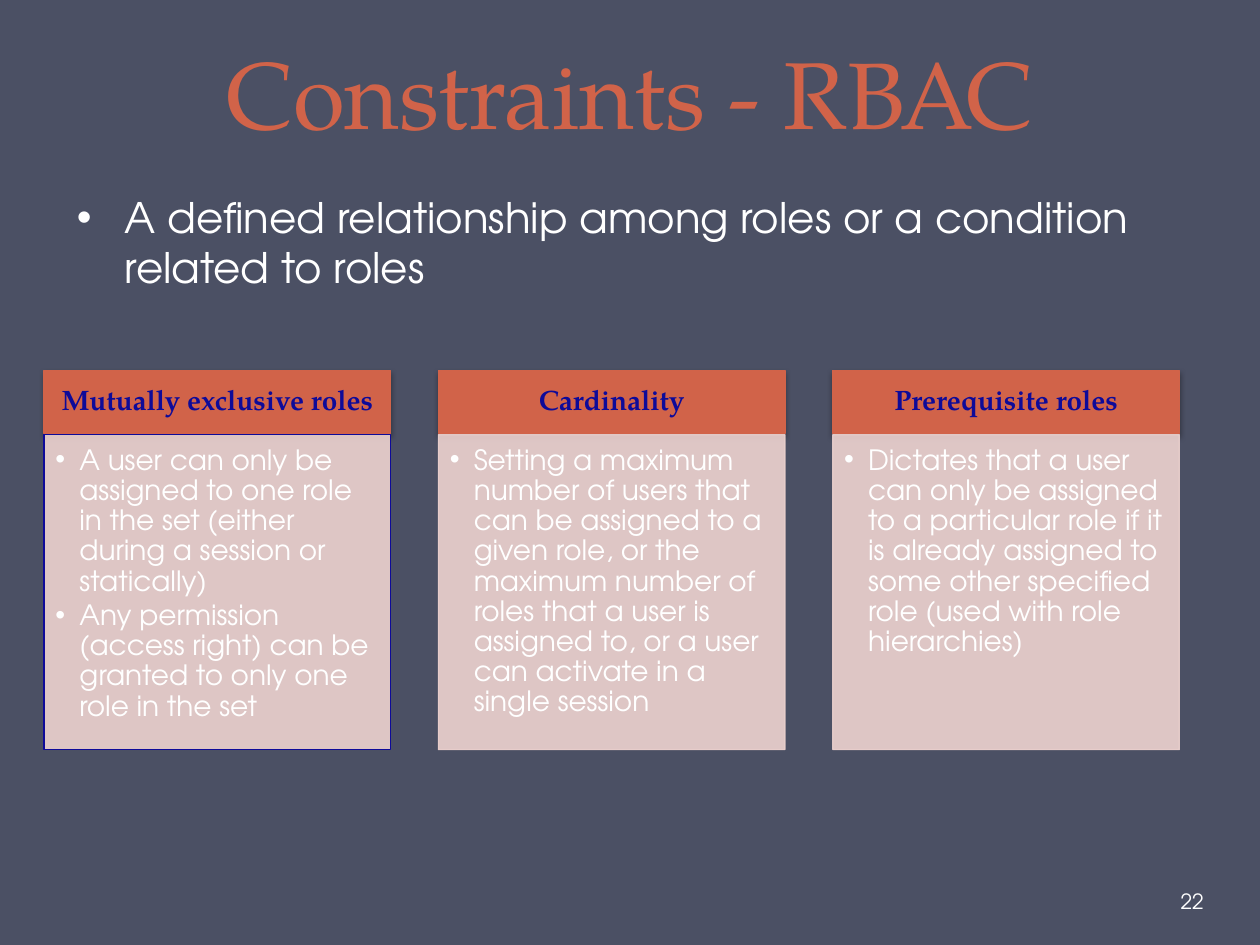
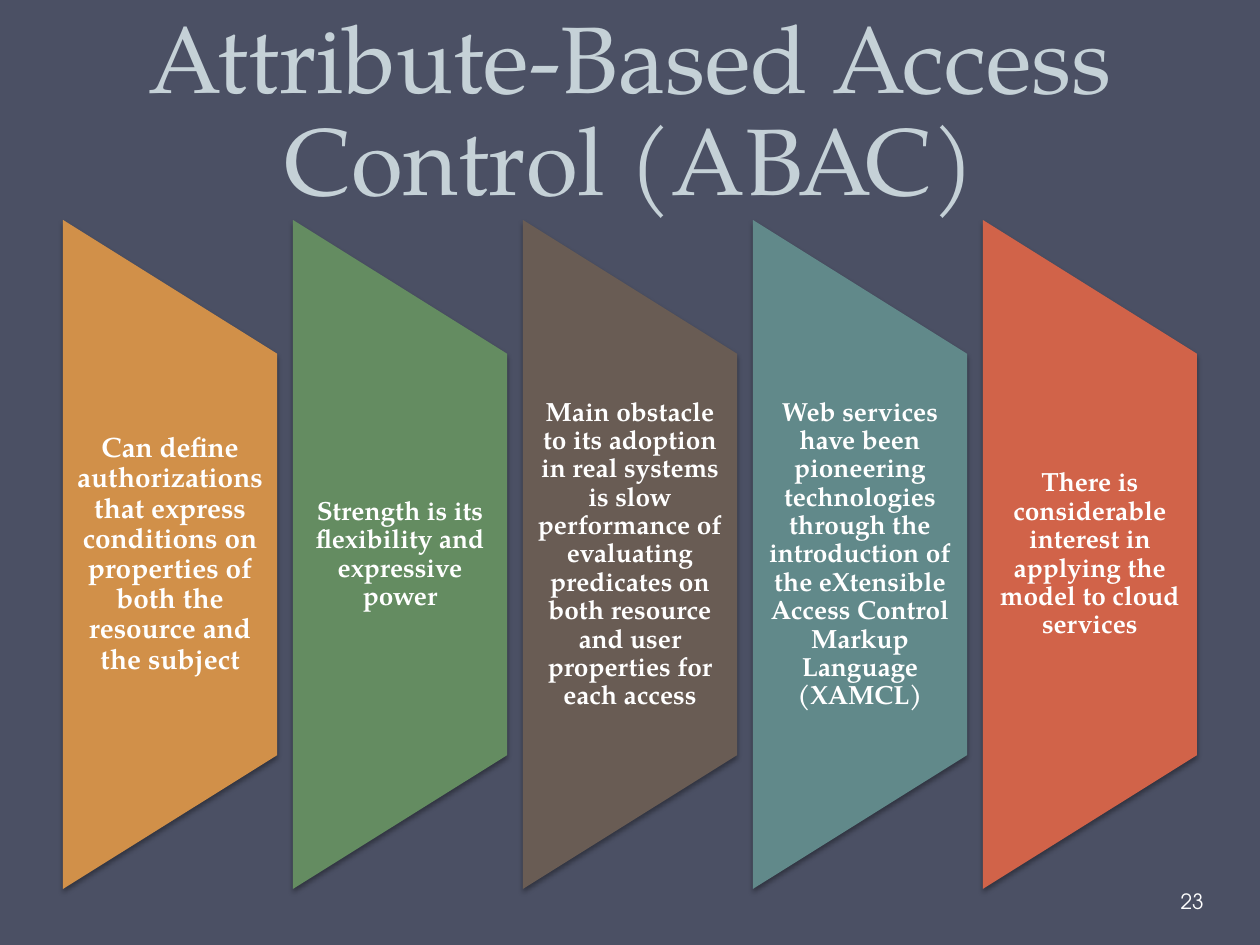
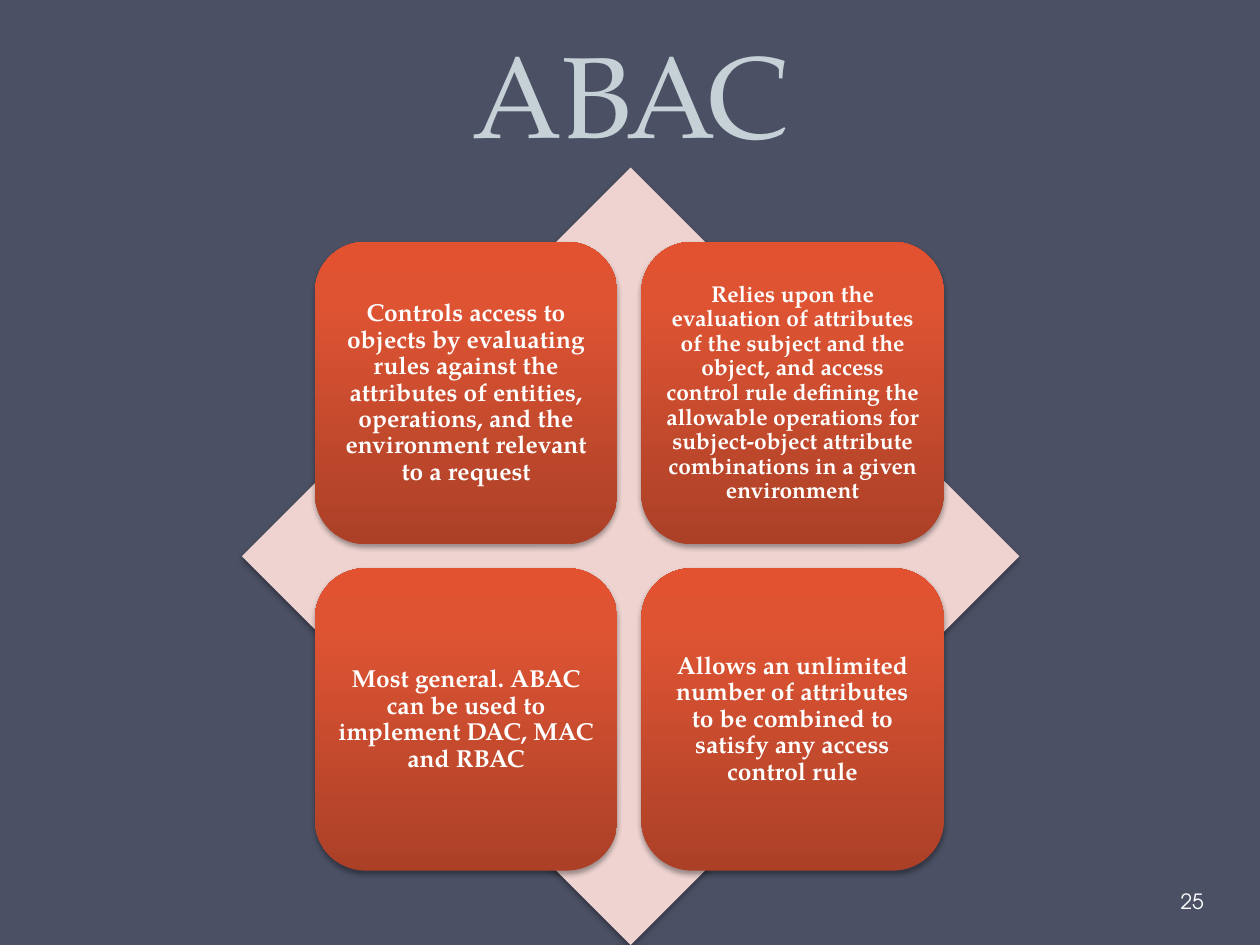
from dataclasses import dataclass
from typing import Optional

from lxml.etree import SubElement
from pptx import Presentation
from pptx.dml.color import RGBColor
from pptx.enum.shapes import MSO_SHAPE
from pptx.enum.text import MSO_ANCHOR, MSO_AUTO_SIZE, PP_ALIGN
from pptx.oxml.ns import qn
from pptx.util import Inches, Pt

SERIF = "TeX Gyre Pagella"
SANS = "TeX Gyre Adventor"
SLATE, WHITE, SILVER = "4B5064", "FFFFFF", "C5D1D7"
RUST, ROSE, NAVY = "D16349", "EED3D0", "0E0A99"
OCHRE, GREEN, BROWN, TEAL = "D19049", "648C61", "695C54", "61898A"
TILE_GRADIENT = ((0, "AB4027"), (80, "DE5433"), (100, "E35230"))


@dataclass(frozen=True)
class Box:
    left: float
    top: float
    width: float
    height: float

    def lengths(self) -> tuple:
        return tuple(Inches(n) for n in (self.left, self.top, self.width, self.height))


@dataclass(frozen=True)
class TextStyle:
    font: str
    size: float
    color: str
    bold: bool = False
    align: PP_ALIGN = PP_ALIGN.CENTER
    anchor: MSO_ANCHOR = MSO_ANCHOR.MIDDLE
    line_spacing: Optional[float] = 0.9
    space_after: float = 0
    bullet_indent: float = 0
    level: int = 0
    margins: tuple = (0.1, 0.05, 0.1, 0.05)  # left, top, right, bottom


@dataclass(frozen=True)
class ConstraintCard:
    heading: str
    points: tuple
    outline: str = ROSE


@dataclass(frozen=True)
class Panel:
    text: str
    color: str
    size: int = 15


@dataclass(frozen=True)
class Tile:
    text: str
    size: int = 14


CARDS = (
    ConstraintCard("Mutually exclusive roles", (
        "A user can only be assigned to one role in the set (either during a session "
        "or statically)",
        "Any permission (access right) can be granted to only one role in the set",
    ), NAVY),
    ConstraintCard("Cardinality", (
        "Setting a maximum number of users that can be assigned to a given role, or the "
        "maximum number of roles that a user is assigned to, or a user can activate in a "
        "single session",
    )),
    ConstraintCard("Prerequisite roles", (
        "Dictates that a user can only be assigned to a particular role if it is already "
        "assigned to some other specified role (used with role hierarchies)",
    )),
)
PANELS = (
    Panel("Can define authorizations that express conditions on properties of both the "
          "resource and the subject", OCHRE, 16),
    Panel("Strength is its flexibility and expressive power", GREEN),
    Panel("Main obstacle to its adoption in real systems is slow performance of evaluating "
          "predicates on both resource and user properties for each access", BROWN),
    Panel("Web services have been pioneering technologies through the introduction of the "
          "eXtensible Access Control Markup Language (XAMCL)", TEAL),
    Panel("There is considerable interest in applying the model to cloud services", RUST),
)
TILES = (
    Tile("Controls access to objects by evaluating rules against the attributes of "
         "entities, operations, and the environment relevant to a request"),
    Tile("Relies upon the evaluation of attributes of the subject and the object, and "
         "access control rule defining the allowable operations for subject-object "
         "attribute combinations in a given environment", 13),
    Tile("Most general. ABAC can be used to implement DAC, MAC and RBAC"),
    Tile("Allows an unlimited number of attributes to be combined to satisfy any access "
         "control rule"),
)


def rgb(color: str) -> RGBColor:
    return RGBColor.from_string(color)


def apply_format(target, values: dict) -> None:
    for name, value in values.items():
        setattr(target, name, value)


def add_bullet(paragraph, indent: float) -> None:
    properties = paragraph._p.get_or_add_pPr()
    properties.set("marL", str(Inches(indent)))
    properties.set("indent", str(-Inches(indent)))
    SubElement(properties, qn("a:buFont")).set("typeface", "Arial")
    SubElement(properties, qn("a:buChar")).set("char", "•")


def write_text(shape, texts: tuple, style: TextStyle) -> None:
    frame = shape.text_frame
    left, top, right, bottom = (Inches(margin) for margin in style.margins)
    apply_format(frame, {
        "word_wrap": True, "auto_size": MSO_AUTO_SIZE.NONE,
        "vertical_anchor": style.anchor, "margin_left": left, "margin_top": top,
        "margin_right": right, "margin_bottom": bottom,
    })
    for index, text in enumerate(texts):
        paragraph = frame.add_paragraph() if index else frame.paragraphs[0]
        paragraph.text = text
        if style.bullet_indent:
            add_bullet(paragraph, style.bullet_indent)
        apply_format(paragraph, {
            "level": style.level, "alignment": style.align,
            "line_spacing": style.line_spacing, "space_before": Pt(0),
            "space_after": Pt(style.space_after),
        })
        apply_format(paragraph.font, {
            "name": style.font, "size": Pt(style.size), "bold": style.bold,
        })
        paragraph.font.color.rgb = rgb(style.color)


def place(shape, box: Box) -> None:
    apply_format(shape, dict(zip(("left", "top", "width", "height"), box.lengths())))


def add_text(slide, box: Box, text: str, style: TextStyle) -> None:
    write_text(slide.shapes.add_textbox(*box.lengths()), (text,), style)


def add_shadow(shape) -> None:
    effects = shape._element.spPr.find(qn("a:effectLst"))
    shadow = SubElement(effects, qn("a:outerShdw"), {
        "blurRad": str(Pt(3.1)), "dist": str(Pt(1.8)), "dir": "5400000",
        "rotWithShape": "0",
    })
    color = SubElement(shadow, qn("a:srgbClr"), {"val": "000000"})
    SubElement(color, qn("a:alpha"), {"val": "35000"})


def add_filled_shape(slide, kind: MSO_SHAPE, box: Box, fill: Optional[str] = None,
                     outline: Optional[str] = None, shadow: bool = True):
    shape = slide.shapes.add_shape(kind, *box.lengths())
    shape.shadow.inherit = False
    if fill:
        shape.fill.solid()
        shape.fill.fore_color.rgb = rgb(fill)
    if outline:
        shape.line.color.rgb = rgb(outline)
        shape.line.width = Pt(0.75)
    else:
        shape.line.fill.background()
    if shadow:
        add_shadow(shape)
    return shape


def make_translucent(shape, color: str, percent: int) -> None:
    """Set the opacity of every use of one colour in a shape's fill and line."""
    for element in shape._element.spPr.iter(qn("a:srgbClr")):
        if element.get("val") == color:
            SubElement(element, qn("a:alpha"), {"val": str(percent * 1000)})


def fill_with_gradient(shape, stops: tuple) -> None:
    """Run the stops from the bottom of the shape to its top."""
    shape.fill.gradient()
    shape.fill.gradient_angle = 90
    stop_list = shape._element.spPr.find(qn("a:gradFill")).find(qn("a:gsLst"))
    for old_stop in list(stop_list):
        stop_list.remove(old_stop)
    for position, color in stops:
        stop = SubElement(stop_list, qn("a:gs"), {"pos": str(position * 1000)})
        SubElement(stop, qn("a:srgbClr"), {"val": color})


def add_titled_slide(presentation, layout: int, title: str, box: Box, number: int,
                     color: str = SILVER, size: int = 54):
    slide = presentation.slides.add_slide(presentation.slide_layouts[layout])
    place(slide.shapes.title, box)
    write_text(slide.shapes.title, (title,), TextStyle(
        SERIF, size, color, anchor=MSO_ANCHOR.BOTTOM, line_spacing=Pt(58)))
    add_text(slide, Box(9.34, 6.95, 0.61, 0.4), str(number), TextStyle(
        SANS, 12, WHITE, align=PP_ALIGN.LEFT, line_spacing=None,
        margins=(0.03, 0.05, 0.05, 0.05)))
    return slide


def build_constraints_slide(presentation) -> None:
    slide = add_titled_slide(presentation, 1, "Constraints - RBAC",
                             Box(0.5, 0, 9, 1.23), 22, RUST)
    body = slide.placeholders[1]
    place(body, Box(0.51, 1.47, 9, 5.5))
    write_text(body, ("A defined relationship among roles or a condition related to roles",),
               TextStyle(SANS, 24, WHITE, align=PP_ALIGN.LEFT, anchor=MSO_ANCHOR.TOP,
                         line_spacing=None, bullet_indent=0.38))

    heading_style = TextStyle(SERIF, 16, NAVY, bold=True,
                              margins=(0.12, 0.07, 0.12, 0.07))
    points_style = TextStyle(SANS, 16, WHITE, align=PP_ALIGN.LEFT, anchor=MSO_ANCHOR.TOP,
                             space_after=2.4, bullet_indent=0.19, level=1,
                             margins=(0.09, 0.09, 0.12, 0.14))
    for index, card in enumerate(CARDS):
        left = 0.35 + index * 3.13
        heading = add_filled_shape(slide, MSO_SHAPE.RECTANGLE,
                                   Box(left, 2.94, 2.75, 0.5), RUST, RUST)
        write_text(heading, (card.heading,), heading_style)
        panel = add_filled_shape(slide, MSO_SHAPE.RECTANGLE, Box(left, 3.45, 2.75, 2.5),
                                 ROSE, card.outline, shadow=False)
        make_translucent(panel, ROSE, 90)
        write_text(panel, card.points, points_style)


def build_panels_slide(presentation) -> None:
    slide = add_titled_slide(presentation, 5, "Attribute-Based Access Control (ABAC)",
                             Box(0.5, 0, 9, 1.75), 23)
    width, length, text_height, middle = 1.7, 5.31, 3.18, 4.4
    for index, panel in enumerate(PANELS):
        left = 0.5 + index * 7.3 / (len(PANELS) - 1)
        trapezoid = add_filled_shape(
            slide, MSO_SHAPE.FLOWCHART_MANUAL_OPERATION,
            Box(left + (width - length) / 2, middle - width / 2, length, width),
            panel.color)
        trapezoid.rotation = 270
        add_text(slide, Box(left, middle - text_height / 2, width, text_height), panel.text,
                 TextStyle(SERIF, panel.size, WHITE, bold=True, margins=(0.1, 0, 0.1, 0)))


def build_diamond_slide(presentation) -> None:
    slide = add_titled_slide(presentation, 5, "ABAC", Box(0.51, -0.19, 9, 1.52), 25, size=66)
    add_filled_shape(slide, MSO_SHAPE.DIAMOND, Box(1.92, 1.33, 6.17, 6.17), ROSE)
    side, pitch = 2.4, 2.59
    for index, tile in enumerate(TILES):
        row, column = divmod(index, 2)
        shape = add_filled_shape(
            slide, MSO_SHAPE.ROUNDED_RECTANGLE,
            Box(2.5 + column * pitch, 1.92 + row * pitch, side, side))
        fill_with_gradient(shape, TILE_GRADIENT)
        write_text(shape, (tile.text,), TextStyle(
            SERIF, tile.size, WHITE, bold=True, margins=(0.05,) * 4))


def main() -> None:
    presentation = Presentation()
    presentation.slide_width = Inches(10)
    presentation.slide_height = Inches(7.5)
    background = presentation.slide_master.background.fill
    background.solid()
    background.fore_color.rgb = rgb(SLATE)
    build_constraints_slide(presentation)
    build_panels_slide(presentation)
    build_diamond_slide(presentation)
    presentation.save("out.pptx")


if __name__ == "__main__":
    main()
